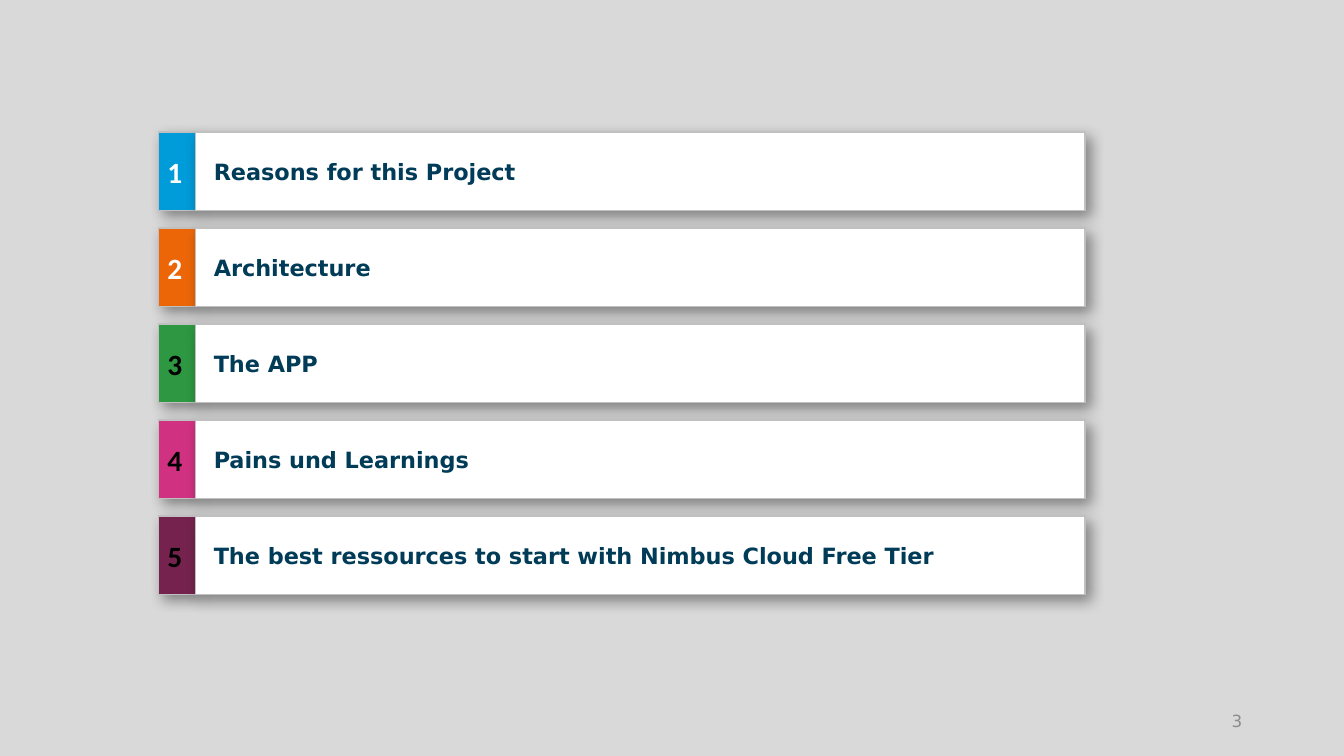
from lxml import etree
from pptx import Presentation
from pptx.dml.color import RGBColor
from pptx.enum.shapes import MSO_SHAPE as Shape
from pptx.enum.text import MSO_ANCHOR as Anchor, PP_ALIGN as Align
from pptx.oxml.ns import qn
from pptx.util import Inches, Pt

AGENDA = [
    ("Reasons for this Project", "009BD9", "FFFFFF"),
    ("Architecture", "EC6608", "FFFFFF"),
    ("The APP", "2D9741", "000000"),
    ("Pains und Learnings", "D13181", "000000"),
    ("The best ressources to start with Nimbus Cloud Free Tier", "75234E", "000000"),
]
ROW_HEIGHT = 0.78
NUMBER_WIDTH = 0.37


def color(value):
    return RGBColor.from_string(value)


def write(shape, text, size, ink, font="DejaVu Sans", bold=False, align=Align.LEFT,
          insets=(0.1, 0.05, 0.1, 0.05), line_spacing=None, space_after=None):
    frame = shape.text_frame
    frame.word_wrap = True
    frame.vertical_anchor = Anchor.MIDDLE
    (frame.margin_left, frame.margin_top,
     frame.margin_right, frame.margin_bottom) = map(Inches, insets)
    para = frame.paragraphs[0]
    para.alignment = align
    para.line_spacing = line_spacing
    para.space_after = space_after
    span = para.add_run()
    span.text = text
    span.font.name = font
    span.font.size = Pt(size)
    span.font.bold = bold
    span.font.color.rgb = color(ink)


def add_shadow(shape):
    """Soft black shadow towards the lower right."""
    shape.shadow.inherit = False
    effects = shape._element.spPr.find(qn("a:effectLst"))
    shadow = etree.SubElement(effects, qn("a:outerShdw"), blurRad=str(Pt(10)),
                              dist=str(Pt(5)), dir=str(45 * 60000),
                              algn="tl", rotWithShape="0")
    black = etree.SubElement(shadow, qn("a:srgbClr"), val="000000")
    etree.SubElement(black, qn("a:alpha"), val="40000")


def add_card(shapes, box, fill):
    card = shapes.add_shape(Shape.RECTANGLE, *map(Inches, box))
    card.fill.solid()
    card.fill.fore_color.rgb = color(fill)
    card.line.color.rgb = color("C0C0C0")
    card.line.width = Pt(1)
    add_shadow(card)
    return card


def add_agenda(slide, box):
    left, top, width, height = box
    pitch = (height - ROW_HEIGHT) / (len(AGENDA) - 1)
    group = slide.shapes.add_group_shape()
    for index, (topic, fill, ink) in enumerate(AGENDA):
        row_top = top + index * pitch
        # Coloured number
        number = add_card(group.shapes, (left, row_top, NUMBER_WIDTH, ROW_HEIGHT), fill)
        write(number, str(index + 1), 21, ink, font="Calibri", bold=True,
              insets=(0.09, 0.06, 0.09, 0.06))
        # Topic bar
        bar = add_card(group.shapes, (left + NUMBER_WIDTH, row_top,
                                      width - NUMBER_WIDTH, ROW_HEIGHT), "FFFFFF")
        write(bar, topic, 16, "003B58", bold=True, insets=(0.18, 0.09, 0.12, 0.06),
              line_spacing=0.95, space_after=Pt(3))


def add_page_number(slide, box, number):
    label = slide.shapes.add_textbox(*map(Inches, box))
    write(label, number, 12, "8C8C8C", align=Align.RIGHT)


def main():
    deck = Presentation()
    deck.slide_width, deck.slide_height = Inches(13.33), Inches(7.5)
    page = deck.slides.add_slide(deck.slide_layouts[6])
    page.background.fill.solid()
    page.background.fill.fore_color.rgb = color("D9D9D9")
    add_agenda(page, (1.57, 1.31, 9.19, 4.59))
    add_page_number(page, (9.42, 6.95, 3, 0.4), "3")
    deck.save("out.pptx")


if __name__ == "__main__":
    main()
